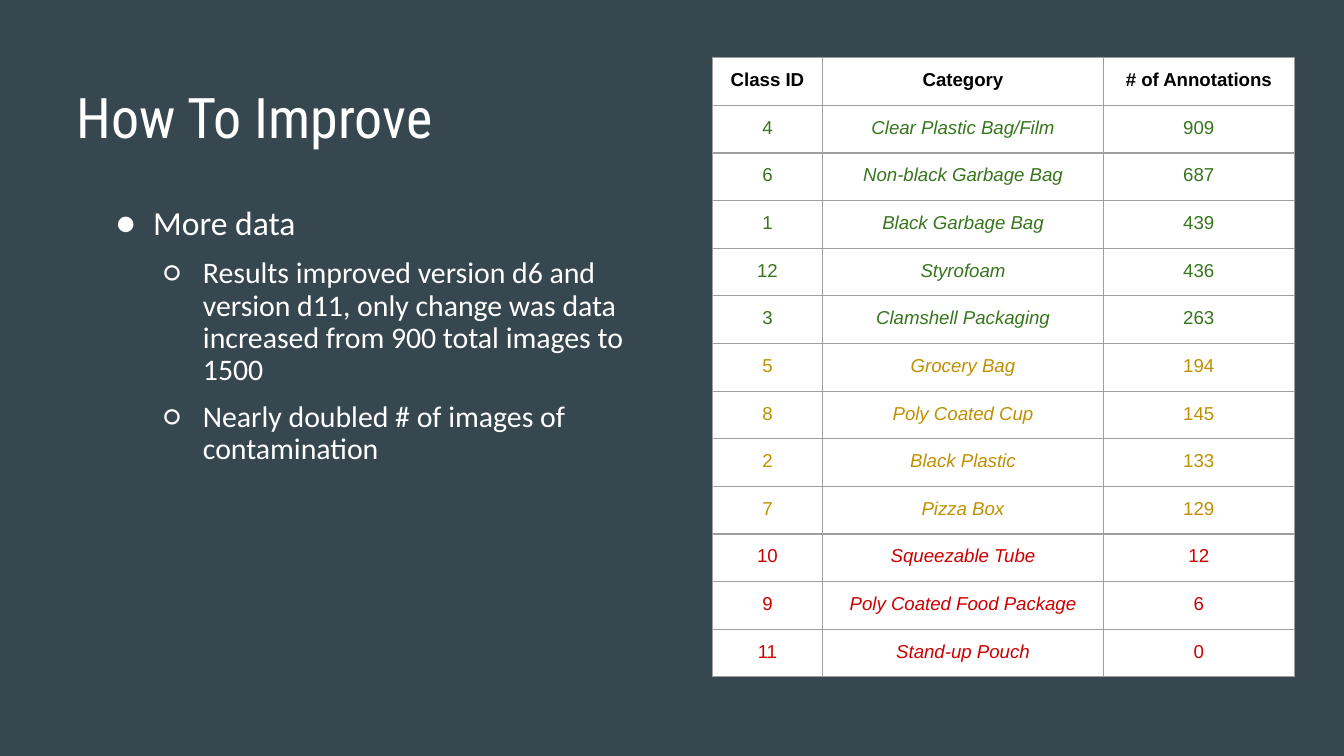
from dataclasses import dataclass

from lxml import etree
from pptx import Presentation
from pptx.dml.color import RGBColor
from pptx.enum.text import MSO_ANCHOR, PP_ALIGN
from pptx.oxml.ns import qn
from pptx.util import Inches, Pt

LEFT, CENTER = PP_ALIGN.LEFT, PP_ALIGN.CENTER
TOP, MIDDLE = MSO_ANCHOR.TOP, MSO_ANCHOR.MIDDLE


@dataclass(frozen=True)
class Theme:
    background: str = "37474F"
    light: str = "FFFFFF"
    dark: str = "000000"
    border: str = "9E9E9E"
    many: str = "38761D"
    some: str = "BF9000"
    few: str = "CC0000"
    title_font: str = "Roboto Condensed"
    body_font: str = "Calibri"
    table_font: str = "Arial"
    title_size: float = 30
    point_sizes: tuple = (18, 16)
    table_size: float = 10
    border_width: float = 0.75


THEME = Theme()
SLIDE_WIDTH = 10
SLIDE_HEIGHT = SLIDE_WIDTH * 9 / 16

TITLE = "How To Improve"
POINTS = [
    (0, "More data"),
    (1, "Results improved version d6 and version d11, only change was data "
        "increased from 900 total images to 1500"),
    (1, "Nearly doubled # of images of contamination"),
]
BULLETS = [("●", 0.38, -0.28), ("○", 0.75, -0.29)]  # mark, margin, indent

HEADER = ("Class ID", "Category", "# of Annotations")
CLASSES = [
    (4, "Clear Plastic Bag/Film", 909),
    (6, "Non-black Garbage Bag", 687),
    (1, "Black Garbage Bag", 439),
    (12, "Styrofoam", 436),
    (3, "Clamshell Packaging", 263),
    (5, "Grocery Bag", 194),
    (8, "Poly Coated Cup", 145),
    (2, "Black Plastic", 133),
    (7, "Pizza Box", 129),
    (10, "Squeezable Tube", 12),
    (9, "Poly Coated Food Package", 6),
    (11, "Stand-up Pouch", 0),
]
COLUMN_WIDTHS = (0.82, 2.09, 1.42)
TABLE_LEFT, TABLE_TOP, TABLE_HEIGHT = 5.3, 0.43, 4.61


def write(para, text, *, font, size, color, bold=False, italic=False,
          align=LEFT, line_spacing=None, space_before=None):
    para.alignment = align
    para.line_spacing = line_spacing
    if space_before is not None:
        para.space_before = Pt(space_before)
    span = para.add_run()
    span.text = text
    span.font.name = font
    span.font.size = Pt(size)
    span.font.bold = bold
    span.font.italic = italic
    span.font.color.rgb = RGBColor.from_string(color)


def set_frame(frame, anchor):
    frame.word_wrap = True
    frame.vertical_anchor = anchor
    frame.margin_left = frame.margin_right = Inches(0.07)
    frame.margin_top = frame.margin_bottom = Inches(0.04)


def add_bullet(para, level):
    mark, margin, indent = BULLETS[level]
    para.level = level
    properties = para._p.get_or_add_pPr()
    properties.set("marL", str(Inches(margin)))
    properties.set("indent", str(Inches(indent)))
    color = etree.SubElement(properties, qn("a:buClr"))
    etree.SubElement(color, qn("a:srgbClr"), val=THEME.light)
    etree.SubElement(properties, qn("a:buFont"), typeface=THEME.body_font)
    etree.SubElement(properties, qn("a:buChar"), char=mark)


def add_borders(cell):
    properties = cell._tc.get_or_add_tcPr()
    for side in ("lnL", "lnR", "lnT", "lnB"):
        line = etree.SubElement(properties, qn(f"a:{side}"),
                                w=str(Pt(THEME.border_width)))
        fill = etree.SubElement(line, qn("a:solidFill"))
        etree.SubElement(fill, qn("a:srgbClr"), val=THEME.border)


def count_color(count):
    """Grade a class by how many annotations it has."""
    if count >= 200:
        return THEME.many
    return THEME.some if count >= 100 else THEME.few


def add_title(page):
    box = page.shapes.title
    box.left, box.top = Inches(0.5), Inches(0.35)
    box.width, box.height = Inches(4.4), Inches(1.09)
    set_frame(box.text_frame, MIDDLE)
    write(box.text_frame.paragraphs[0], TITLE, font=THEME.title_font,
          size=THEME.title_size, color=THEME.light, line_spacing=0.9)


def add_points(page):
    box = page.shapes.add_textbox(Inches(0.69), Inches(1.5),
                                  Inches(4.31), Inches(3.57))
    frame = box.text_frame
    set_frame(frame, TOP)
    for index, (level, text) in enumerate(POINTS):
        para = frame.add_paragraph() if index else frame.paragraphs[0]
        add_bullet(para, level)
        write(para, text, font=THEME.body_font, size=THEME.point_sizes[level],
              color=THEME.light, line_spacing=0.9,
              space_before=8 if index else None)


def add_class_table(page):
    rows = [HEADER, *CLASSES]
    table = page.shapes.add_table(
        len(rows), len(HEADER), Inches(TABLE_LEFT), Inches(TABLE_TOP),
        Inches(sum(COLUMN_WIDTHS)), Inches(TABLE_HEIGHT)).table
    table.first_row = table.horz_banding = False
    for column, width in zip(table.columns, COLUMN_WIDTHS):
        column.width = Inches(width)
    for r, values in enumerate(rows):
        is_header = r == 0
        color = THEME.dark if is_header else count_color(values[-1])
        for c, value in enumerate(values):
            cell = table.cell(r, c)
            add_borders(cell)
            cell.fill.solid()
            cell.fill.fore_color.rgb = RGBColor.from_string(THEME.light)
            cell.margin_left = cell.margin_right = 0
            cell.margin_top = cell.margin_bottom = Inches(0.09)
            write(cell.text_frame.paragraphs[0], str(value),
                  font=THEME.table_font, size=THEME.table_size, color=color,
                  bold=is_header, italic=not is_header and c == 1,
                  align=CENTER)


def main():
    deck = Presentation()
    deck.slide_width, deck.slide_height = Inches(SLIDE_WIDTH), Inches(SLIDE_HEIGHT)
    page = deck.slides.add_slide(deck.slide_layouts.get_by_name("Title Only"))
    page.background.fill.solid()
    page.background.fill.fore_color.rgb = RGBColor.from_string(THEME.background)
    add_title(page)
    add_points(page)
    add_class_table(page)
    deck.save("out.pptx")


if __name__ == "__main__":
    main()
